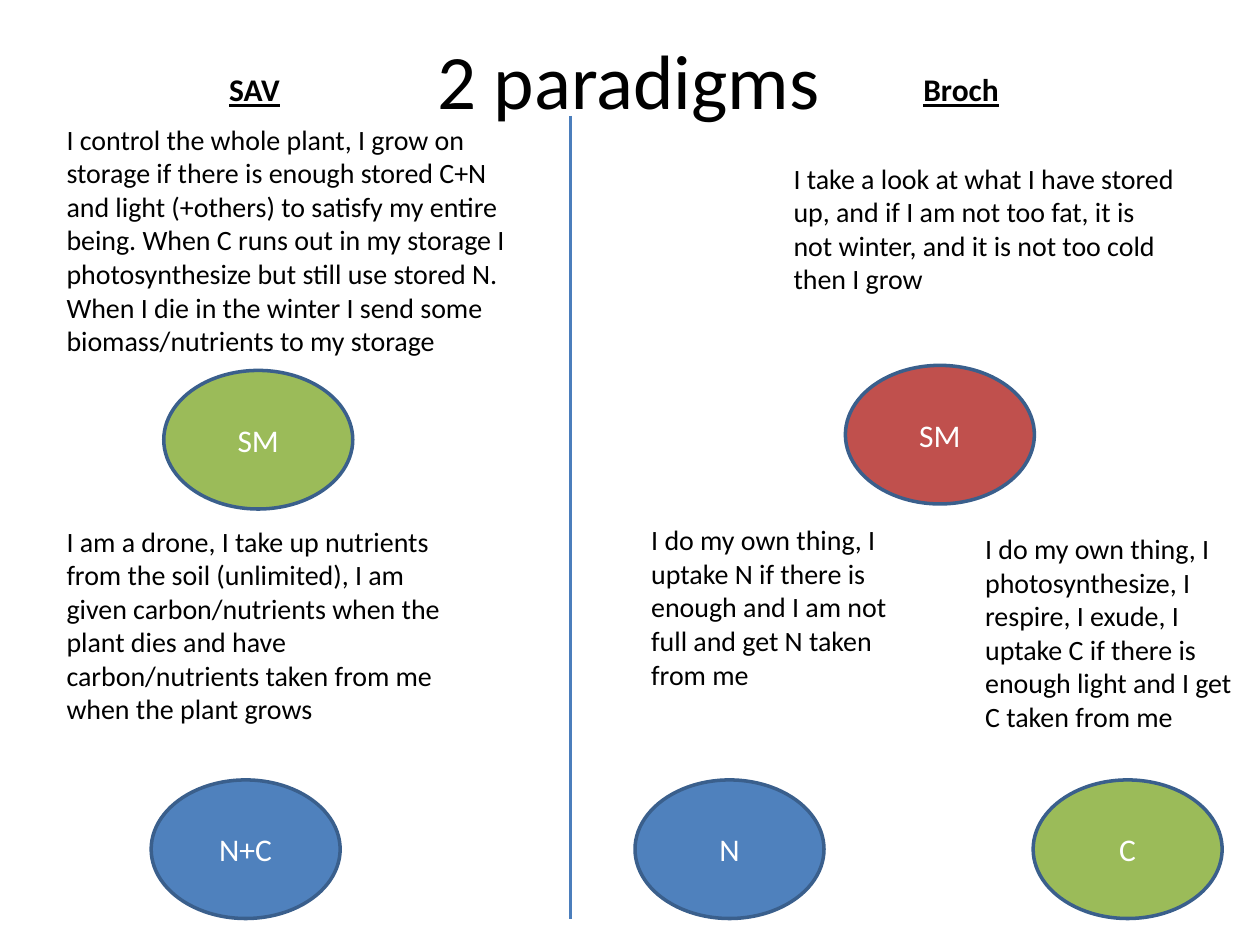
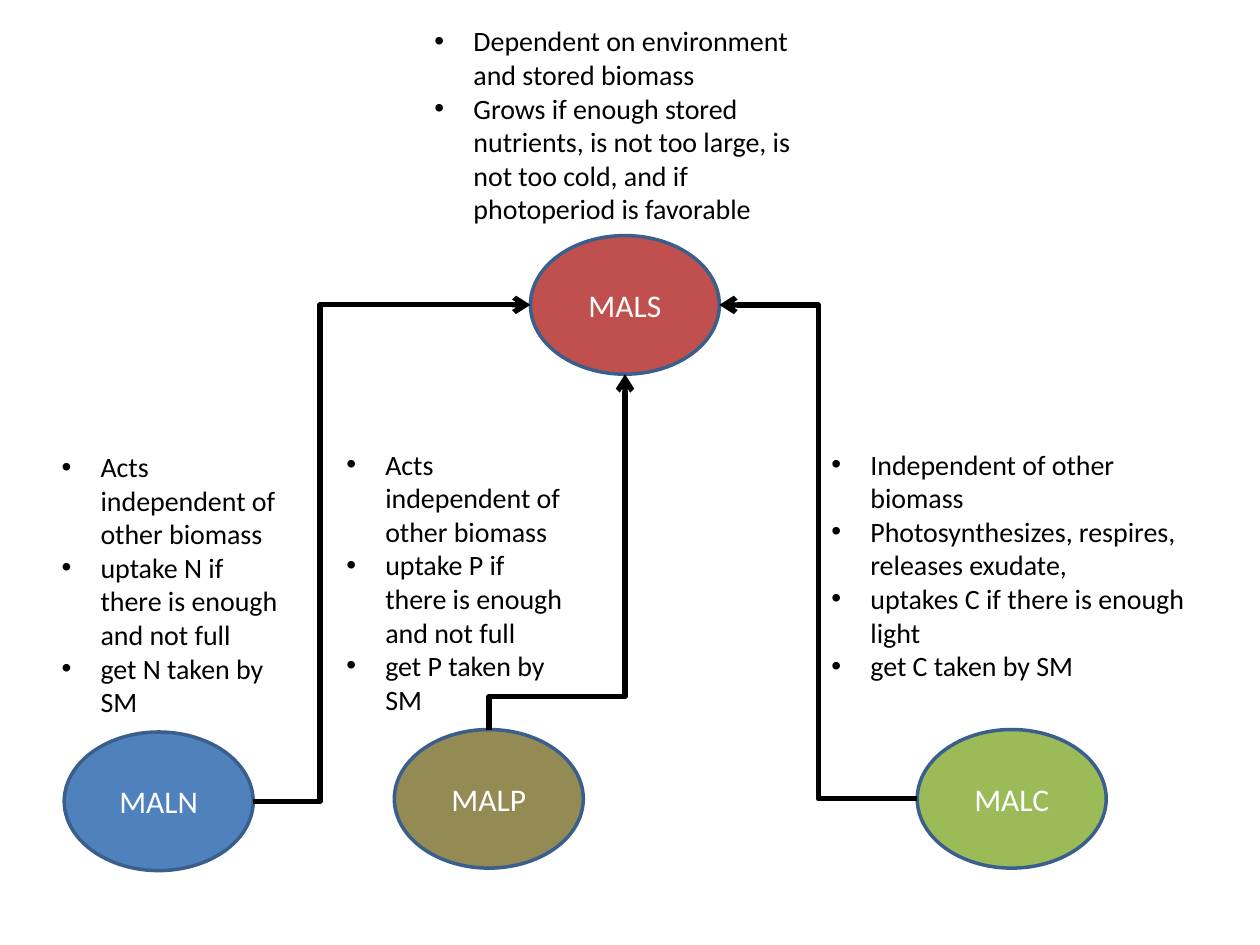
from lxml.etree import SubElement
from pptx import Presentation
from pptx.dml.color import RGBColor
from pptx.enum.shapes import MSO_CONNECTOR, MSO_SHAPE
from pptx.enum.text import MSO_ANCHOR, MSO_AUTO_SIZE, PP_ALIGN
from pptx.oxml.ns import qn
from pptx.util import Inches, Pt

FONT = "Calibri"
BLACK = RGBColor(0x00, 0x00, 0x00)
WHITE = RGBColor(0xFF, 0xFF, 0xFF)
BLUE = RGBColor(0x4F, 0x81, 0xBD)
GREEN = RGBColor(0x9B, 0xBB, 0x59)
RED = RGBColor(0xC0, 0x50, 0x4D)
TAN = RGBColor(0x94, 0x8A, 0x54)
OUTLINE = RGBColor(0x3A, 0x5F, 0x8C)
DIVIDER = RGBColor(0x4B, 0x7E, 0xBC)

POOL_WIDTH, POOL_HEIGHT = 1.5, 1.1
BULLET_INDENT = Inches(0.31)


def style_paragraph(paragraph, text, size, color=BLACK, align=PP_ALIGN.LEFT):
    paragraph.text = text
    paragraph.alignment = align
    paragraph.font.name = FONT
    paragraph.font.size = Pt(size)
    paragraph.font.color.rgb = color


def add_bullet(paragraph):
    properties = paragraph._p.get_or_add_pPr()
    properties.set("marL", str(BULLET_INDENT))
    properties.set("indent", str(-BULLET_INDENT))
    SubElement(properties, qn("a:buFont"), typeface="Arial")
    SubElement(properties, qn("a:buChar"), char="•")


def add_text(page, bounds, lines, size=16, bulleted=False):
    box = page.shapes.add_textbox(*map(Inches, bounds))
    frame = box.text_frame
    frame.word_wrap = True
    frame.auto_size = MSO_AUTO_SIZE.SHAPE_TO_FIT_TEXT
    for index, line in enumerate(lines):
        paragraph = frame.add_paragraph() if index else frame.paragraphs[0]
        style_paragraph(paragraph, line, size)
        if bulleted:
            add_bullet(paragraph)
    return frame


def add_title(page, text):
    frame = add_text(page, (0.49, 0, 9, 1.25), [text], 44)
    frame.auto_size = MSO_AUTO_SIZE.NONE
    frame.vertical_anchor = MSO_ANCHOR.MIDDLE
    frame.paragraphs[0].alignment = PP_ALIGN.CENTER


def add_heading(page, bounds, text):
    frame = add_text(page, bounds, [text], 18)
    frame.word_wrap = False
    font = frame.paragraphs[0].font
    font.bold = True
    font.underline = True


def add_pool(page, left, top, label, color):
    pool = page.shapes.add_shape(
        MSO_SHAPE.OVAL, *map(Inches, (left, top, POOL_WIDTH, POOL_HEIGHT)))
    pool.shadow.inherit = False
    pool.fill.solid()
    pool.fill.fore_color.rgb = color
    pool.line.color.rgb = OUTLINE
    pool.line.width = Pt(2)
    pool.text_frame.vertical_anchor = MSO_ANCHOR.MIDDLE
    style_paragraph(pool.text_frame.paragraphs[0], label, 18, WHITE, PP_ALIGN.CENTER)


def add_line(page, kind, start, end, color, width):
    line = page.shapes.add_connector(kind, *map(Inches, (*start, *end)))
    line.line.color.rgb = color
    line.line.width = Pt(width)
    SubElement(line.element.spPr, qn("a:effectLst"))
    return line


def add_elbow_arrow(page, start, end, bend, upright=False):
    if upright:
        middle_x, middle_y = (start[0] + end[0]) / 2, (start[1] + end[1]) / 2
        half_x, half_y = (start[0] - end[0]) / 2, (start[1] - end[1]) / 2
        start = (middle_x + half_y, middle_y - half_x)
        end = (middle_x - half_y, middle_y + half_x)
    arrow = add_line(page, MSO_CONNECTOR.ELBOW, start, end, BLACK, 3)
    properties = arrow.element.spPr
    if upright:
        properties.find(qn("a:xfrm")).set("rot", "5400000")
    guides = properties.find(qn("a:prstGeom")).get_or_add_avLst()
    SubElement(guides, qn("a:gd"), name="adj1", fmla=f"val {round(bend * 100000)}")
    SubElement(properties.find(qn("a:ln")), qn("a:tailEnd"), type="arrow")


def build_paradigms(page):
    add_title(page, "2 paradigms")
    for left, top, label, color in [
        (1.3, 2.94, "SM", GREEN),
        (1.2, 6.19, "N+C", BLUE),
        (5.04, 6.19, "N", BLUE),
        (8.2, 6.19, "C", GREEN),
        (6.71, 2.9, "SM", RED),
    ]:
        add_pool(page, left, top, label, color)
    for bounds, text in [
        ((5.07, 4.1, 2.28, 1.45),
         "I do my own thing, I uptake N if there is enough and I am not full "
         "and get N taken from me"),
        ((7.72, 4.17, 2.28, 1.72),
         "I do my own thing, I photosynthesize, I respire, I exude, I uptake C "
         "if there is enough light and I get C taken from me"),
        ((6.2, 1.23, 3.23, 1.18),
         "I take a look at what I have stored up, and if I am not too fat, it is "
         "not winter, and it is not too cold then I grow"),
        ((0.43, 0.92, 3.86, 1.99),
         "I control the whole plant, I grow on storage if there is enough stored "
         "C+N and light (+others) to satisfy my entire being. When C runs out in "
         "my storage I photosynthesize but still use stored N. When I die in the "
         "winter I send some biomass/nutrients to my storage"),
        ((0.43, 4.11, 3.23, 1.72),
         "I am a drone, I take up nutrients from the soil (unlimited), I am given "
         "carbon/nutrients when the plant dies and have carbon/nutrients taken "
         "from me when the plant grows"),
    ]:
        add_text(page, bounds, [text])
    add_line(page, MSO_CONNECTOR.STRAIGHT, (4.53, 0.92), (4.53, 7.29), DIVIDER, 1.5)
    add_heading(page, (1.72, 0.51, 0.61, 0.4), "SAV")
    add_heading(page, (7.23, 0.51, 0.81, 0.4), "Broch")


def nutrient_rules(nutrient):
    return ["Acts independent of other biomass",
            f"uptake {nutrient} if there is enough and not full",
            f"get {nutrient} taken by SM"]


def build_model(page):
    for left, top, label, color in [
        (0.51, 5.81, "MALN", BLUE),
        (7.28, 5.79, "MALC", GREEN),
        (4.21, 1.87, "MALS", RED),
        (3.13, 5.79, "MALP", TAN),
    ]:
        add_pool(page, left, top, label, color)
    for bounds, lines in [
        ((0.39, 3.52, 1.97, 2.26), nutrient_rules("N")),
        ((2.65, 3.5, 1.96, 2.26), nutrient_rules("P")),
        ((6.5, 3.5, 3.07, 1.99),
         ["Independent of other biomass",
          "Photosynthesizes, respires, releases exudate,",
          "uptakes C if there is enough light",
          "get C taken by SM"]),
        ((3.35, 0.14, 3.23, 1.72),
         ["Dependent on environment and stored biomass",
          "Grows if enough stored nutrients, is not too large, is not too cold, "
          "and if photoperiod is favorable"]),
    ]:
        add_text(page, bounds, lines, bulleted=True)
    add_elbow_arrow(page, (7.28, 6.34), (5.71, 2.42), 0.5)
    add_elbow_arrow(page, (3.88, 5.79), (4.96, 2.97), 0.093, upright=True)
    add_elbow_arrow(page, (2.01, 6.36), (4.21, 2.42), 0.241)


def main():
    deck = Presentation()
    deck.slide_width, deck.slide_height = Inches(10), Inches(7.5)
    blank = deck.slide_layouts[6]
    for build in (build_paradigms, build_model):
        build(deck.slides.add_slide(blank))
    deck.save("out.pptx")


main()
